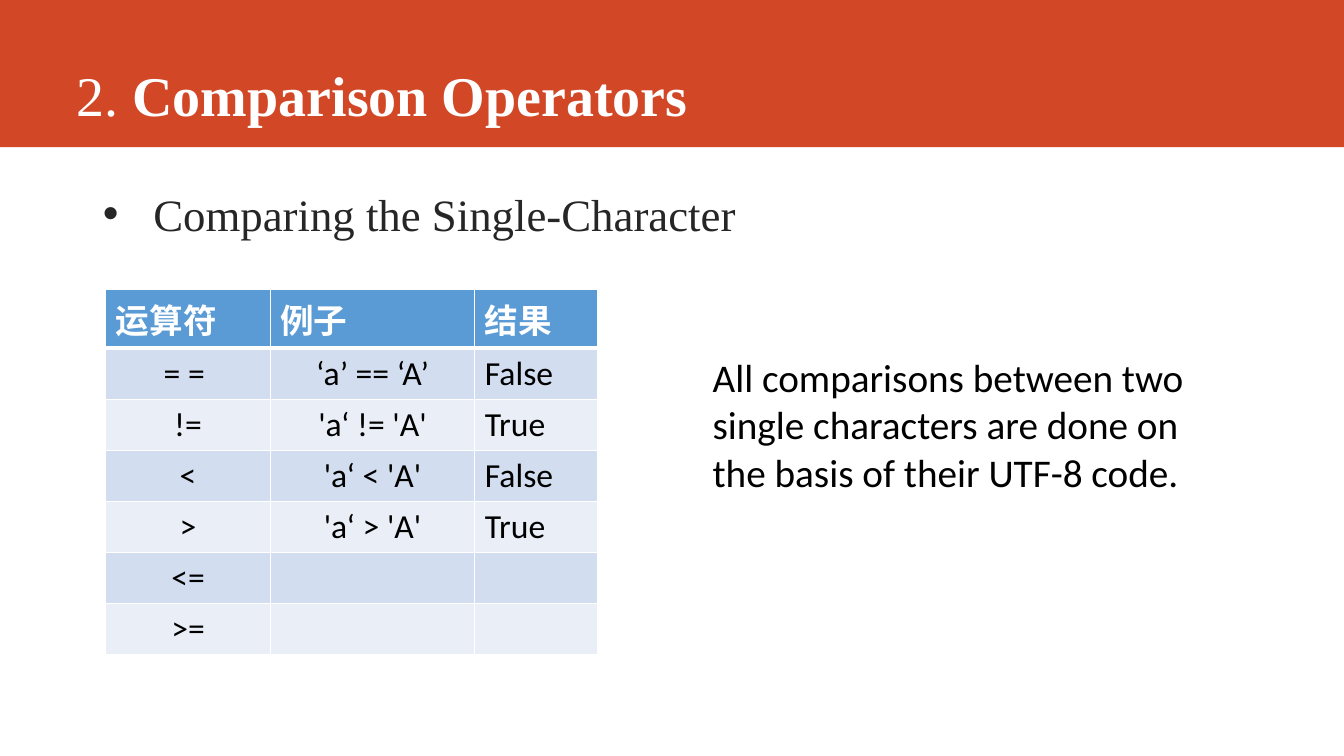
"""Build the slide on comparing single characters with comparison operators."""
import dataclasses

import pptx
import pptx.dml.color
import pptx.enum.shapes
import pptx.enum.text
import pptx.oxml
import pptx.oxml.ns
import pptx.util

Inches = pptx.util.Inches
Pt = pptx.util.Pt
ALIGN = pptx.enum.text.PP_ALIGN
ANCHOR = pptx.enum.text.MSO_ANCHOR
NAMESPACE = pptx.oxml.ns.nsdecls("a")

SERIF = "Times New Roman"
SANS = "Calibri"
WHITE = "FFFFFF"
BLACK = "000000"
BAND_COLOUR = "D24726"
HEADER_COLOUR = "5B9BD5"
ROW_COLOURS = ("D2DEEF", "EAEFF7")
COLUMN_WIDTHS = (1.63, 2.03, 1.22)
ROW_HEIGHT = 0.5


@dataclasses.dataclass(frozen=True)
class Style:
    font: str
    size: float
    colour: str
    bold: bool = False


@dataclasses.dataclass(frozen=True)
class Comparison:
    operator: str
    example: str = ""
    result: str = ""


HEADER = Comparison("运算符", "例子", "结果")
COMPARISONS = (
    Comparison("= = ", "‘a’ == ‘A’", "False"),
    Comparison("!=", "'a‘ != 'A'", "True"),
    Comparison("<", "'a‘ < 'A'", "False"),
    Comparison(">", "'a‘ > 'A'", "True"),
    Comparison("<="),
    Comparison(">="),
)


def rgb(colour: str) -> pptx.dml.color.RGBColor:
    return pptx.dml.color.RGBColor.from_string(colour)


def add_run(paragraph, text: str, style: Style) -> None:
    run = paragraph.add_run()
    run.text = text
    run.font.name = style.font
    run.font.size = Pt(style.size)
    run.font.bold = style.bold
    run.font.color.rgb = rgb(style.colour)


def place(shape, left: float, top: float, width: float, height: float) -> None:
    shape.left, shape.top = Inches(left), Inches(top)
    shape.width, shape.height = Inches(width), Inches(height)


def prepare_frame(shape, anchor):
    frame = shape.text_frame
    frame.word_wrap = True
    frame.auto_size = pptx.enum.text.MSO_AUTO_SIZE.NONE
    frame.vertical_anchor = anchor
    return frame.paragraphs[0]


def add_title(slide) -> None:
    title = slide.shapes.title
    band = slide.shapes.add_shape(
        pptx.enum.shapes.MSO_SHAPE.RECTANGLE, 0, 0, Inches(13.33), Inches(1.46)
    )
    band.shadow.inherit = False
    band.fill.solid()
    band.fill.fore_color.rgb = rgb(BAND_COLOUR)
    band.line.fill.background()
    title.element.addprevious(band.element)

    place(title, 0.66, 0, 11.76, 1.32)
    paragraph = prepare_frame(title, ANCHOR.BOTTOM)
    paragraph.alignment = ALIGN.LEFT
    add_run(paragraph, "2. ", Style(SERIF, 40, WHITE))
    add_run(paragraph, "Comparison Operators", Style(SERIF, 40, WHITE, bold=True))


def add_topic(slide) -> None:
    body = slide.placeholders[1]
    place(body, 0.92, 2, 10.98, 0.61)
    paragraph = prepare_frame(body, ANCHOR.TOP)
    paragraph.line_spacing = Pt(24)
    paragraph.space_before = Pt(0)
    paragraph.space_after = Pt(12)
    properties = paragraph._p.get_or_add_pPr()
    properties.set("marL", str(Inches(0.5)))
    properties.set("indent", str(Inches(-0.5)))
    for markup in ('<a:buFont {} typeface="Arial"/>', '<a:buChar {} char="•"/>'):
        properties.append(pptx.oxml.parse_xml(markup.format(NAMESPACE)))
    add_run(paragraph, "Comparing the Single-Character", Style(SERIF, 32, "262626"))


def set_borders(cell, top: float, bottom: float) -> None:
    properties = cell._tc.get_or_add_tcPr()
    sides = {"lnL": 1, "lnR": 1, "lnT": top, "lnB": bottom}
    for position, (side, width) in enumerate(sides.items()):
        line = pptx.oxml.parse_xml(
            f'<a:{side} {NAMESPACE} w="{Pt(width)}"><a:solidFill>'
            f'<a:srgbClr val="{WHITE}"/></a:solidFill></a:{side}>'
        )
        properties.insert(position, line)


def add_comparison_table(slide) -> None:
    rows = (HEADER, *COMPARISONS)
    table = slide.shapes.add_table(
        len(rows), len(COLUMN_WIDTHS), Inches(1.05), Inches(2.87),
        Inches(sum(COLUMN_WIDTHS)), Inches(ROW_HEIGHT * len(rows)),
    ).table
    for column, width in zip(table.columns, COLUMN_WIDTHS):
        column.width = Inches(width)
    for row_index, comparison in enumerate(rows):
        is_header = row_index == 0
        fill = HEADER_COLOUR if is_header else ROW_COLOURS[(row_index - 1) % 2]
        style = Style(SANS, 24, WHITE if is_header else BLACK, bold=is_header)
        for column_index, text in enumerate(dataclasses.astuple(comparison)):
            cell = table.cell(row_index, column_index)
            cell.fill.solid()
            cell.fill.fore_color.rgb = rgb(fill)
            set_borders(cell, 3 if row_index == 1 else 1, 3 if is_header else 1)
            if text:
                paragraph = cell.text_frame.paragraphs[0]
                centred = not is_header and column_index < 2
                paragraph.alignment = ALIGN.CENTER if centred else ALIGN.LEFT
                add_run(paragraph, text, style)


def add_explanation(slide) -> None:
    box = slide.shapes.add_textbox(
        Inches(6.97), Inches(3.46), Inches(5.26), Inches(1.82)
    )
    paragraph = prepare_frame(box, ANCHOR.TOP)
    text = (
        "All comparisons between two single characters are done on "
        "the basis of their UTF-8 code."
    )
    add_run(paragraph, text, Style(SANS, 28, BLACK))


def main() -> None:
    presentation = pptx.Presentation()
    presentation.slide_width = Inches(13.33)
    presentation.slide_height = Inches(7.5)
    slide = presentation.slides.add_slide(presentation.slide_layouts[1])
    add_title(slide)
    add_topic(slide)
    add_comparison_table(slide)
    add_explanation(slide)
    presentation.save("out.pptx")


if __name__ == "__main__":
    main()
